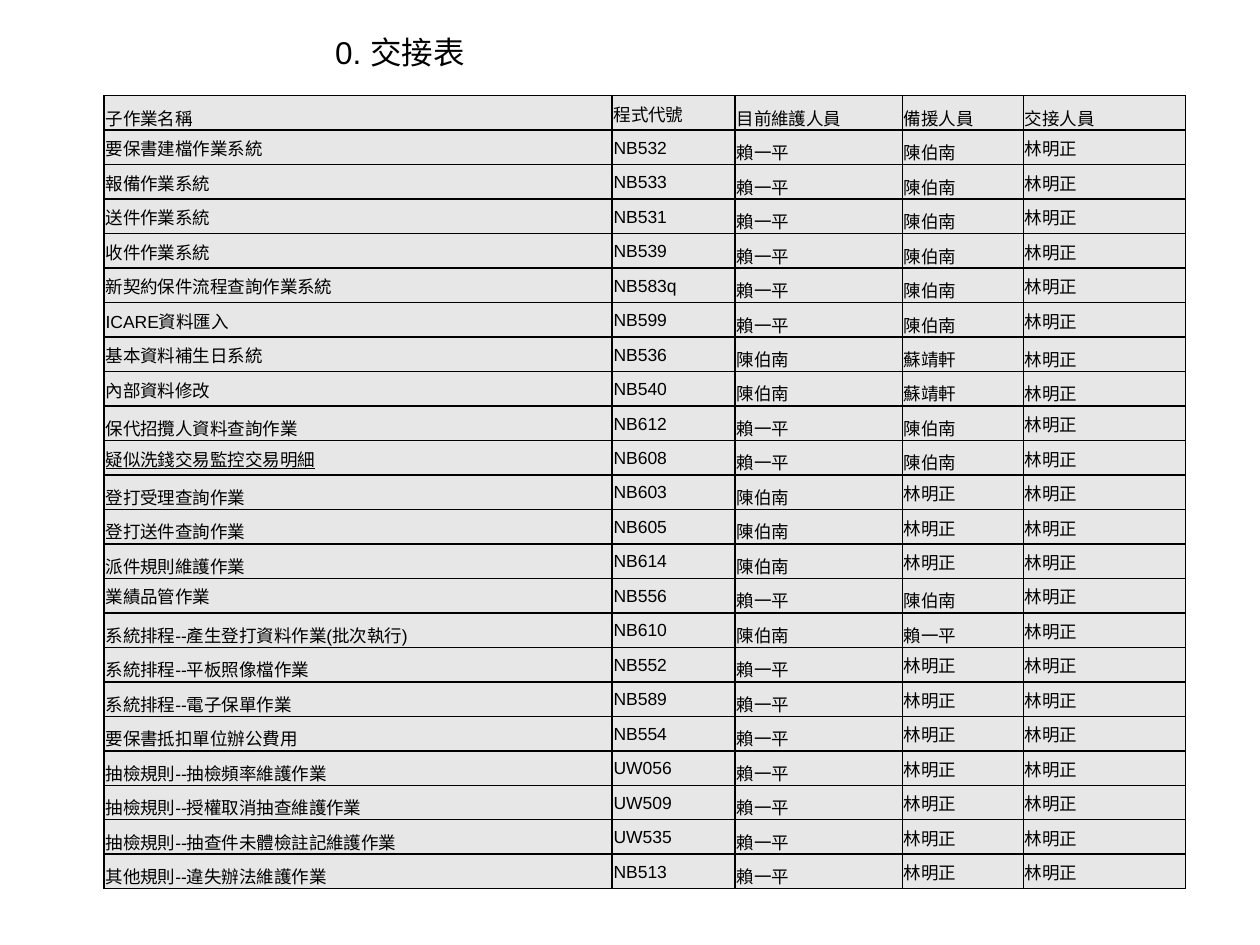
from dataclasses import dataclass

from lxml.etree import SubElement
from pptx import Presentation
from pptx.dml.color import RGBColor
from pptx.enum.text import MSO_ANCHOR as Anchor, MSO_AUTO_SIZE as Fit, PP_ALIGN as Align
from pptx.oxml.ns import qn
from pptx.util import Cm, Pt

HUES = {"ink": "000000", "cell": "E7E7E7"}
FONT = "Arial"
WIDTHS = (10.24, 2.48, 3.37, 2.44, 3.27)
HEIGHT = 16
HEADS = ("子作業名稱", "程式代號", "目前維護人員", "備援人員", "交接人員")
LAI, CHEN, SU, LIN = "賴一平", "陳伯南", "蘇靖軒", "林明正"


@dataclass
class Task:
    name: str
    code: str
    owner: str
    backup: str
    low: bool = False
    line: bool = False


TASKS = (
    Task("要保書建檔作業系統", "NB532", LAI, CHEN),
    Task("報備作業系統", "NB533", LAI, CHEN),
    Task("送件作業系統", "NB531", LAI, CHEN),
    Task("收件作業系統", "NB539", LAI, CHEN),
    Task("新契約保件流程查詢作業系統", "NB583q", LAI, CHEN),
    Task("ICARE資料匯入", "NB599", LAI, CHEN),
    Task("基本資料補生日系統", "NB536", CHEN, SU),
    Task("內部資料修改", "NB540", CHEN, SU),
    Task("保代招攬人資料查詢作業", "NB612", LAI, CHEN, low=True),
    Task("疑似洗錢交易監控交易明細", "NB608", LAI, CHEN, line=True),
    Task("登打受理查詢作業", "NB603", CHEN, LIN, low=True),
    Task("登打送件查詢作業", "NB605", CHEN, LIN, low=True),
    Task("派件規則維護作業", "NB614", CHEN, LIN, low=True),
    Task("業績品管作業", "NB556", LAI, CHEN),
    Task("系統排程--產生登打資料作業(批次執行)", "NB610", CHEN, LAI, low=True),
    Task("系統排程--平板照像檔作業", "NB552", LAI, LIN, low=True),
    Task("系統排程--電子保單作業", "NB589", LAI, LIN, low=True),
    Task("要保書抵扣單位辦公費用", "NB554", LAI, LIN, low=True),
    Task("抽檢規則--抽檢頻率維護作業", "UW056", LAI, LIN, low=True),
    Task("抽檢規則--授權取消抽查維護作業", "UW509", LAI, LIN, low=True),
    Task("抽檢規則--抽查件未體檢註記維護作業", "UW535", LAI, LIN, low=True),
    Task("其他規則--違失辦法維護作業", "NB513", LAI, LIN, low=True),
)


def style(frame, size: float, line: bool = False) -> None:
    para = frame.paragraphs[0]
    para.alignment = Align.LEFT
    font = para.runs[0].font
    font.name, font.size = FONT, Pt(size)
    font.color.rgb = RGBColor.from_string(HUES["ink"])
    if line:
        font.underline = True


def border(cell) -> None:
    props = cell._tc.get_or_add_tcPr()
    for spot, side in enumerate(("lnL", "lnR", "lnT", "lnB")):
        edge = props.makeelement(qn(f"a:{side}"), {"w": str(Pt(1))})
        fill = SubElement(edge, qn("a:solidFill"))
        SubElement(fill, qn("a:srgbClr"), val=HUES["ink"])
        props.insert(spot, edge)


def fill_cell(cell, text: str, low: bool, line: bool = False) -> None:
    cell.text_frame.text = text
    style(cell.text_frame, 10, line)
    cell.vertical_anchor = Anchor.BOTTOM if low else Anchor.MIDDLE
    cell.margin_left = cell.margin_right = cell.margin_top = Cm(0.03)
    cell.margin_bottom = 0
    cell.fill.solid()
    cell.fill.fore_color.rgb = RGBColor.from_string(HUES["cell"])
    border(cell)


def add_title(slide, text: str) -> None:
    title = slide.shapes.title
    title.left, title.top, title.width, title.height = Cm(6.5), Cm(0.53), Cm(13.41), Cm(1.03)
    frame = title.text_frame
    frame.text = text
    frame.word_wrap = True
    frame.auto_size = Fit.SHAPE_TO_FIT_TEXT
    frame.vertical_anchor = Anchor.TOP
    style(frame, 18)


def add_tasks(slide) -> None:
    count = len(TASKS) + 1
    table = slide.shapes.add_table(
        count, len(HEADS), Cm(2.1), Cm(1.93), Cm(sum(WIDTHS)), Cm(HEIGHT)
    ).table
    table.first_row = table.horz_banding = False
    for col, width in zip(table.columns, WIDTHS):
        col.width = Cm(width)
    for row in table.rows:
        row.height = Cm(HEIGHT / count)
    for col, head in enumerate(HEADS):
        fill_cell(table.cell(0, col), head, low=col != 1)
    for row, task in enumerate(TASKS, 1):
        texts = (task.name, task.code, task.owner, task.backup, LIN)
        lows = (task.low, False, True, task.backup != LIN, task.backup == SU)
        for col, (text, low) in enumerate(zip(texts, lows)):
            fill_cell(table.cell(row, col), text, low, task.line and col == 0)


def main() -> None:
    deck = Presentation()
    deck.slide_width, deck.slide_height = Cm(25.4), Cm(19.05)
    slide = deck.slides.add_slide(deck.slide_layouts[5])
    add_tasks(slide)
    add_title(slide, "0. 交接表")
    deck.save("out.pptx")


if __name__ == "__main__":
    main()
